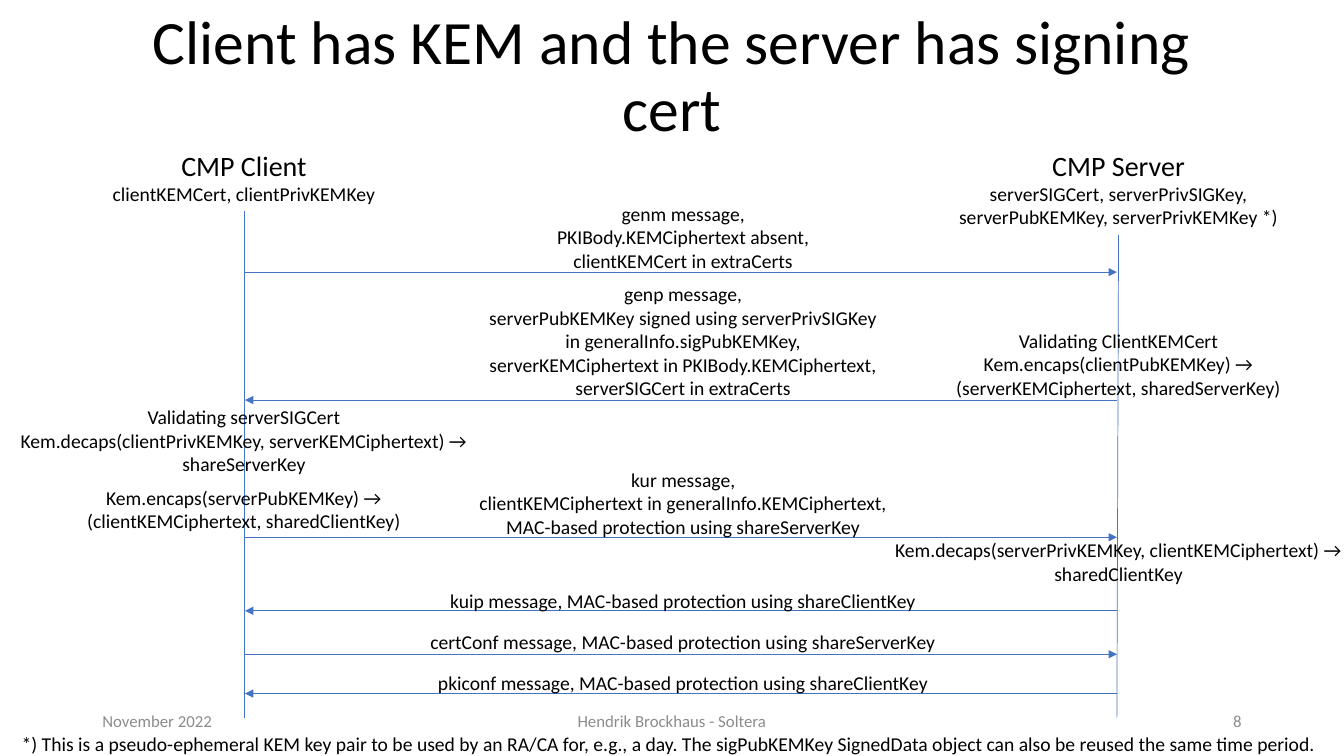
from lxml import etree
from pptx import Presentation
from pptx.dml.color import RGBColor
from pptx.enum import shapes, text
from pptx.oxml.ns import qn
from pptx.util import Pt

CLIENT_X, MESSAGE_X, SERVER_X = 174.3, 488, 799
ARROW_LEFT, ARROW_RIGHT = 175, 797.8
LEFT, CENTER, RIGHT = text.PP_ALIGN.LEFT, text.PP_ALIGN.CENTER, text.PP_ALIGN.RIGHT

prs = Presentation()
prs.slide_width, prs.slide_height = Pt(960), Pt(540)
s = prs.slides.add_slide(prs.slide_layouts[6])


def add_text(content, center, top, width, height=None, sizes=(14,), color="000000",
             align=CENTER, wrap=False, anchor=text.MSO_ANCHOR.TOP, spacing=None):
    """Add a text box centred on an x position; the last size serves all later paragraphs."""
    if height is None:
        height = 7.2 + 17.1 * len(content.splitlines()) + 1.22 * (sizes[0] - sizes[-1])
    box = s.shapes.add_textbox(Pt(center - width / 2), Pt(top), Pt(width), Pt(height))
    tf = box.text_frame
    tf.word_wrap = wrap
    tf.vertical_anchor = anchor
    tf.text = content
    for i, p in enumerate(tf.paragraphs):
        p.alignment = align
        p.line_spacing = spacing
        for r in p.runs:
            r.font.name = "Calibri"
            r.font.size = Pt(sizes[min(i, len(sizes) - 1)])
            r.font.color.rgb = RGBColor.from_string(color)
    return box


def add_line(x1, y1, x2, y2, arrow=False):
    line = s.shapes.add_connector(shapes.MSO_CONNECTOR.STRAIGHT, Pt(x1), Pt(y1), Pt(x2), Pt(y2))
    line.line.color.rgb = RGBColor.from_string("4472C4")
    line.line.width = Pt(0.5)
    if arrow:
        etree.SubElement(line.line._get_or_add_ln(), qn("a:tailEnd"), type="triangle")
    etree.SubElement(line._element.spPr, qn("a:effectLst"))
    return line


# Title and footer
add_text("Client has KEM and the server has signing cert", 480, 3.6, 828, 104, sizes=(44,),
         wrap=True, anchor=text.MSO_ANCHOR.MIDDLE, spacing=0.9)
footers = [
    ("November 2022", 174, 216, LEFT),
    ("Hendrik Brockhaus - Soltera", 480, 324, CENTER),
    ("8", 786, 216, RIGHT),
]
for content, center, width, align in footers:
    add_text(content, center, 500.5, width, 28.8, sizes=(12,), color="8C8C8C",
             align=align, wrap=True, anchor=text.MSO_ANCHOR.MIDDLE)

# Participants and their lifelines
participants = [
    ("CMP Client\nclientKEMCert, clientPrivKEMKey", CLIENT_X, 204.5, CLIENT_X),
    ("CMP Server\nserverSIGCert, serverPrivSIGKey,\nserverPubKEMKey, serverPrivKEMKey *)",
     SERVER_X, 244.8, ARROW_RIGHT),
]
for content, center, width, foot_x in participants:
    header = add_text(content, center, 102.2, width, sizes=(20, 14))
    lifeline = add_line(center, 150, foot_x, 512.6)
    lifeline.begin_connect(header, 2)

# Messages: text, text top, text width, arrow height, sent by the client
messages = [
    ("genm message,\nPKIBody.KEMCiphertext absent,\nclientKEMCert in extraCerts",
     140.4, 196.6, 194.4, True),
    ("genp message,\nserverPubKEMKey signed using serverPrivSIGKey\vin generalInfo.sigPubKEMKey,\n"
     "serverKEMCiphertext in PKIBody.KEMCiphertext,\nserverSIGCert in extraCerts",
     198, 297.4, 285.8, False),
    ("kur message,\nclientKEMCiphertext in generalInfo.KEMCiphertext,\n"
     "MAC-based protection using shareServerKey", 330.5, 308.9, 383.8, True),
    ("kuip message, MAC-based protection using shareClientKey", 416.9, 350.6, 436.3, False),
    ("certConf message, MAC-based protection using shareServerKey", 446.4, 379.4, 467.3, True),
    ("pkiconf message, MAC-based protection using shareClientKey", 475.9, 367.9, 495.4, False),
]
for content, top, width, arrow_y, from_client in messages:
    start, end = (ARROW_LEFT, ARROW_RIGHT) if from_client else (ARROW_RIGHT, ARROW_LEFT)
    add_line(start, arrow_y, end, arrow_y, arrow=True)
    add_text(content, MESSAGE_X, top, width)

# Processing steps beside the lifelines
steps = [
    ("Validating ClientKEMCert\nKem.encaps(clientPubKEMKey) →\n"
     "(serverKEMCiphertext, sharedServerKey)", SERVER_X, 231.1, 255.6),
    ("Validating serverSIGCert\nKem.decaps(clientPrivKEMKey, serverKEMCiphertext) →\n"
     "shareServerKey", CLIENT_X, 285.8, 337.7),
    ("Kem.encaps(serverPubKEMKey) →\n(clientKEMCiphertext, sharedClientKey)",
     CLIENT_X, 343.4, 241.2),
    ("Kem.decaps(serverPrivKEMKey, clientKEMCiphertext) →\nsharedClientKey",
     SERVER_X, 380.9, 337.7),
]
for content, center, top, width in steps:
    add_text(content, center, top, width)

add_text("*) This is a pseudo-ephemeral KEM key pair to be used by an RA/CA for, e.g., a day. "
         "The sigPubKEMKey SignedData object can also be reused the same time period.",
         478, 519.1, 947.5)

prs.save("out.pptx")
